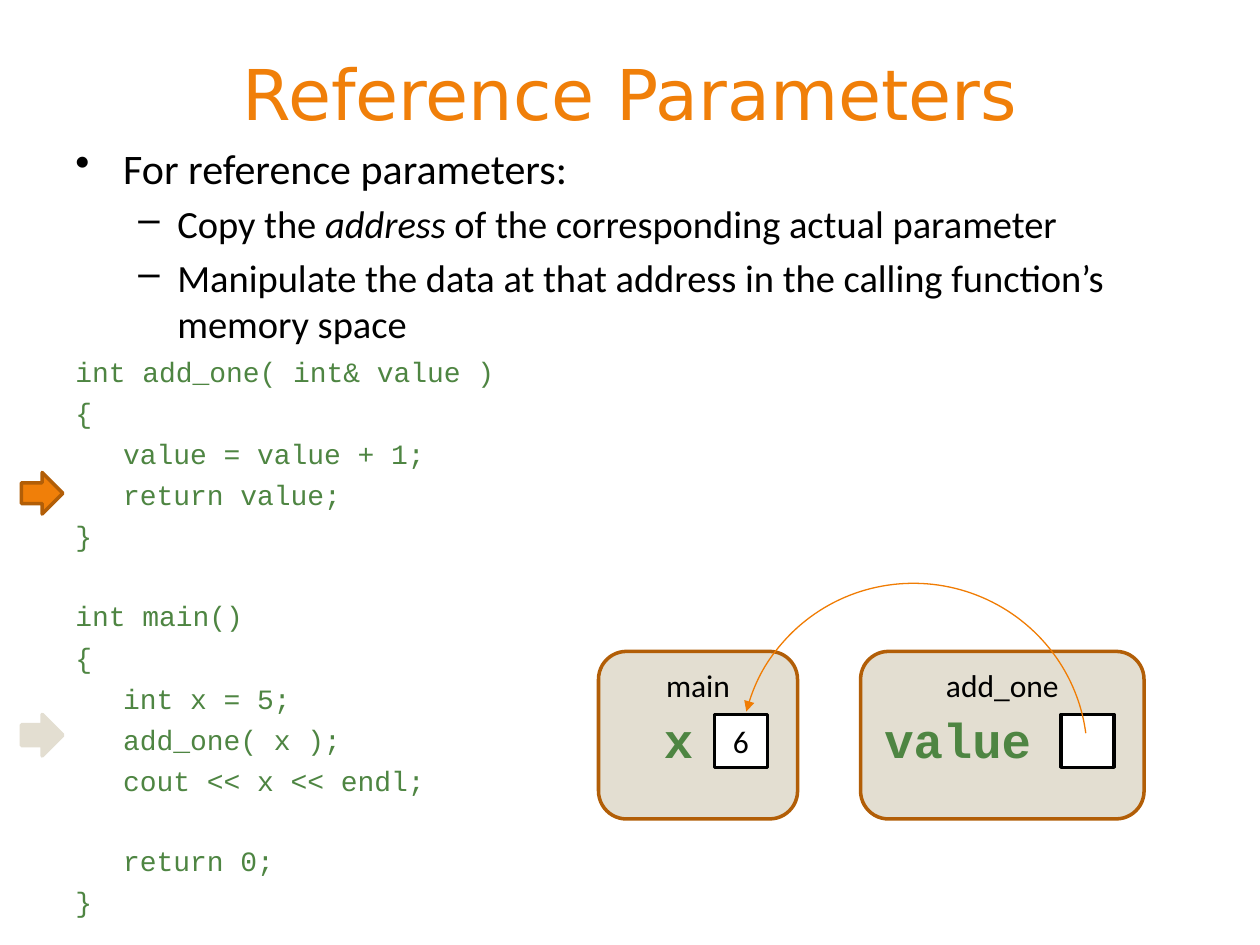
from lxml import etree
from pptx import Presentation
from pptx.dml.color import RGBColor
from pptx.enum.shapes import MSO_SHAPE
from pptx.enum.text import MSO_ANCHOR, PP_ALIGN
from pptx.oxml.ns import qn
from pptx.util import Inches, Pt

ORANGE = RGBColor(0xF0, 0x7F, 0x09)
ARC_ORANGE = RGBColor(0xF0, 0x7C, 0x03)
BROWN = RGBColor(0xB2, 0x5E, 0x07)
BEIGE = RGBColor(0xE3, 0xDE, 0xD1)
GREEN = RGBColor(0x4E, 0x85, 0x42)
BLACK = RGBColor(0, 0, 0)
WHITE = RGBColor(0xFF, 0xFF, 0xFF)

LEFT, CENTER = PP_ALIGN.LEFT, PP_ALIGN.CENTER
TOP, MIDDLE = MSO_ANCHOR.TOP, MSO_ANCHOR.MIDDLE
ROUND_RECT, RECT = MSO_SHAPE.ROUNDED_RECTANGLE, MSO_SHAPE.RECTANGLE
RIGHT_ARROW, ARC = MSO_SHAPE.RIGHT_ARROW, MSO_SHAPE.ARC

BULLETS = [
    (0, [("For reference parameters:", False)]),
    (1, [("Copy the ", False), ("address", True),
         (" of the corresponding actual parameter", False)]),
    (1, [("Manipulate the data at that address in the calling "
          "function’s memory space", False)]),
]
BULLET_STYLES = [("•", 0.38, 0.38, 24), ("–", 0.81, 0.31, 22)]
CODE = """int add_one( int& value )
{
   value = value + 1;
   return value;
}

int main()
{
   int x = 5;
   add_one( x );
   cout << x << endl;

   return 0;
}"""


def add_run(p, text, size=18, font="Calibri", color=BLACK, bold=False, italic=False):
    """Append a formatted run to a paragraph."""
    r = p.add_run()
    r.text = text
    r.font.size, r.font.name = Pt(size), font
    r.font.color.rgb = color
    r.font.bold, r.font.italic = bold, italic


def set_text(sp, text, align=CENTER, anchor=MIDDLE, **style):
    """Fill a shape with one formatted paragraph."""
    tf = sp.text_frame
    tf.word_wrap = True
    tf.vertical_anchor = anchor
    p = tf.paragraphs[0]
    p.alignment = align
    add_run(p, text, **style)


def add_textbox(s, x, y, w, h):
    """Add an empty wrapping text box."""
    sp = s.shapes.add_textbox(Inches(x), Inches(y), Inches(w), Inches(h))
    sp.text_frame.word_wrap = True
    return sp


def add_shape(s, kind, x, y, w, h, fill, line, width=2):
    """Add a flat preset shape, unfilled when fill is None."""
    sp = s.shapes.add_shape(kind, Inches(x), Inches(y), Inches(w), Inches(h))
    sp.shadow.inherit = False
    if fill is None:
        sp.fill.background()
    else:
        sp.fill.solid()
        sp.fill.fore_color.rgb = fill
    sp.line.color.rgb = line
    sp.line.width = Pt(width)
    return sp


def add_paragraph(tf, margin, space, hanging=0, bullet=None):
    """Return the next paragraph, with its indent and optional bullet."""
    first = not tf.paragraphs[0].runs
    p = tf.paragraphs[0] if first else tf.add_paragraph()
    p.space_before = Pt(0 if first else space)
    pPr = p._p.get_or_add_pPr()
    pPr.set("marL", str(Inches(margin)))
    pPr.set("indent", str(Inches(-hanging)))
    if bullet:
        etree.SubElement(pPr, qn("a:buChar")).set("char", bullet)
    return p


def add_body(s, x, y, w, h):
    """Place the bullets and the code listing in one text box."""
    tf = add_textbox(s, x, y, w, h).text_frame
    for level, runs in BULLETS:
        char, margin, hanging, size = BULLET_STYLES[level]
        p = add_paragraph(tf, margin, 4.4, hanging, char)
        for text, italic in runs:
            add_run(p, text, size=size, italic=italic)
    space = 4.3
    for line in CODE.splitlines():
        if not line:
            space = 26.7
            continue
        p = add_paragraph(tf, 0.38 if line.startswith(" ") else 0, space)
        add_run(p, line.strip(), size=16, font="Courier New", color=GREEN)
        space = 4.3


def add_frame(s, x, y, w, h, name, variable, label_x, label_w, value=None):
    """Place a function's memory frame with one variable and its cell."""
    frame = add_shape(s, ROUND_RECT, x, y, w, h, BEIGE, BROWN)
    set_text(frame, name, anchor=TOP)
    cell = add_shape(s, RECT, x + label_x + label_w, y + 0.5, 0.42, 0.42, WHITE, BLACK)
    if value:
        set_text(cell, value)
    label = add_textbox(s, x + label_x, y + 0.41, label_w, 0.57)
    set_text(label, variable, align=LEFT, anchor=TOP, size=28,
             font="Courier New", color=GREEN, bold=True)


def add_reference_arc(s, x, y, w, h):
    """Draw the arc that points from the reference to its variable."""
    sp = add_shape(s, ARC, x, y, w, h, None, ARC_ORANGE, 0.75)
    sp.rotation = 12
    sp.adjustments[0], sp.adjustments[1] = 109.47, 204.51
    ln = sp.line._get_or_add_ln()
    etree.SubElement(ln, qn("a:headEnd")).set("type", "triangle")


def main():
    """Build the slide and save it."""
    prs = Presentation()
    prs.slide_width, prs.slide_height = Inches(10), Inches(7.5)
    s = prs.slides.add_slide(prs.slide_layouts[6])
    set_text(add_textbox(s, 0.5, 0.3, 9, 0.87), "Reference Parameters",
             size=40, font="DejaVu Sans", color=ORANGE)
    add_body(s, 0.5, 1.08, 9, 4.08)
    add_frame(s, 4.75, 5.17, 1.58, 1.33, "main", "x", 0.42, 0.5, "6")
    add_frame(s, 6.83, 5.17, 2.25, 1.33, "add_one", "value", 0.09, 1.5)
    add_shape(s, RIGHT_ARROW, 0.17, 3.75, 0.33, 0.33, ORANGE, BROWN)
    add_reference_arc(s, 5.88, 4.63, 2.75, 2.72)
    add_shape(s, RIGHT_ARROW, 0.17, 5.67, 0.33, 0.33, BEIGE, BEIGE)
    prs.save("out.pptx")


if __name__ == "__main__":
    main()
